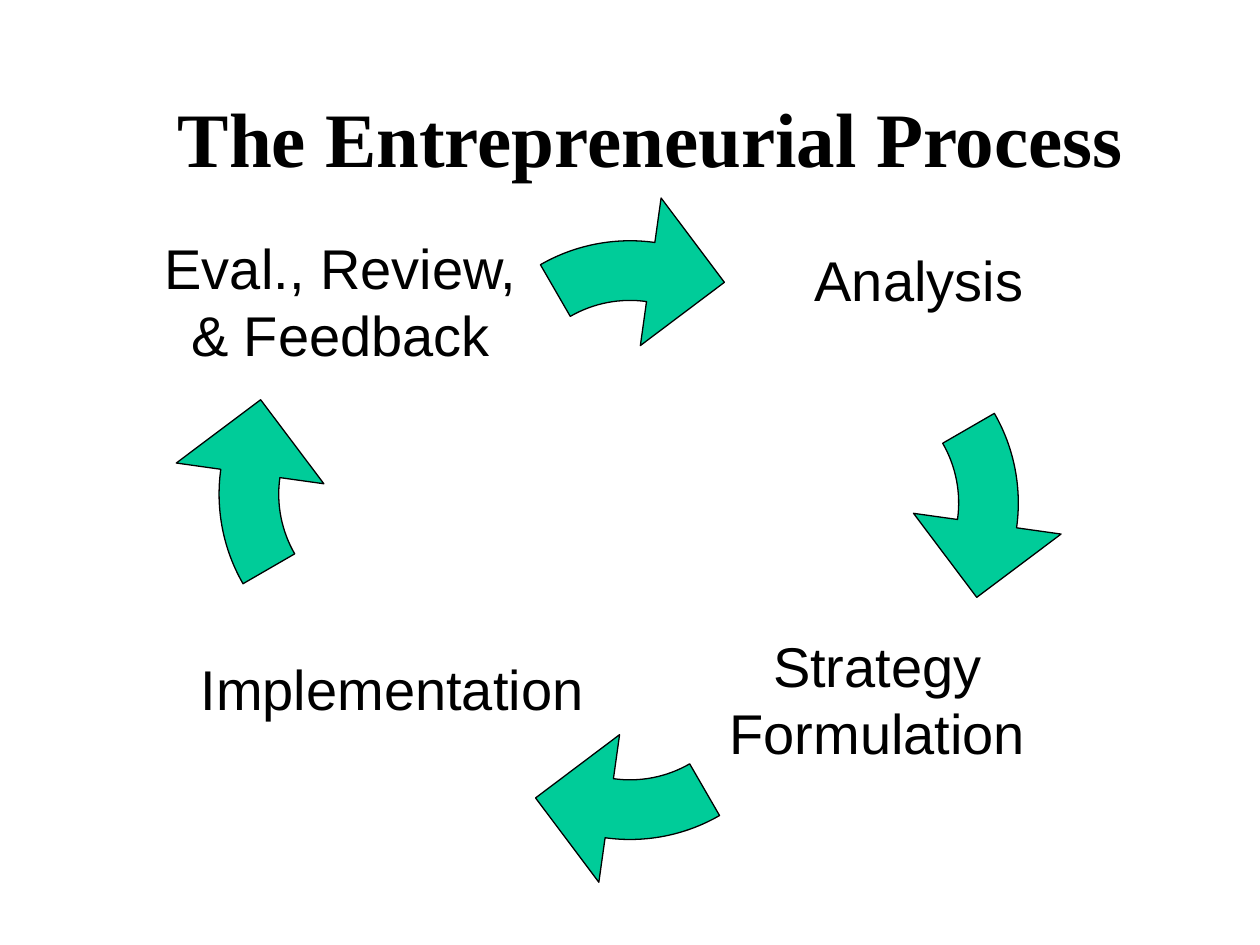
from dataclasses import dataclass
from math import cos, radians, sin, tan

from lxml import etree
from pptx import Presentation
from pptx.dml.color import RGBColor
from pptx.enum import shapes, text
from pptx.oxml import ns
from pptx.util import Pt

BLACK = RGBColor(0, 0, 0)
GREEN = RGBColor(0x00, 0xCC, 0x99)

# Arrow shape: radii in points, angles in degrees clockwise from the top
INNER, OUTER = 68.2, 102.3
BARB_IN, BARB_OUT = 42.8, 128
TIP = 95.3
TAIL_DEG, NECK_DEG, TIP_DEG = -30, 8, 34.5
SIDE = 76.8

Point = tuple[int, int]


@dataclass
class Arrow:
    x: float
    y: float
    turn: int


@dataclass
class Label:
    words: str
    x: float
    y: float


ARROWS = [
    Arrow(360, 239.9, 0),
    Arrow(479.6, 287.4, 90),
    Arrow(360, 377.4, 180),
    Arrow(227.5, 282.4, 270),
]
LABELS = [
    Label("Analysis", 525.2, 159.3),
    Label("Strategy\nFormulation", 501.4, 399.4),
    Label("Eval., Review,\n& Feedback", 194.7, 171.7),
    Label("Implementation", 224.2, 393.3),
]


def spot(radius: float, deg: float) -> Point:
    """Place a point inside the square that holds the outer circle."""
    angle = radians(deg)
    return (Pt(OUTER + radius * sin(angle)), Pt(OUTER - radius * cos(angle)))


def bend(radius: float, start: float, end: float) -> list[Point]:
    """Give the two control points and the end of a circular curve."""
    span = radians(end - start)
    reach = 4 / 3 * tan(span / 4)
    far = radius * (1 + reach ** 2) ** 0.5
    lean = 180 / radians(180) * reach
    # The exact offset angle is atan(reach); for this short span use its series
    lean *= 1 - reach ** 2 / 3
    return [spot(far, start + lean), spot(far, end - lean), spot(radius, end)]


def add_arrow(slide, arrow: Arrow) -> None:
    """Draw a curved arrow around the centre (x, y), turned clockwise."""
    steps = [
        ("moveTo", [spot(INNER, NECK_DEG)]),
        ("cubicBezTo", bend(INNER, NECK_DEG, TAIL_DEG)),
        ("lnTo", [spot(OUTER, TAIL_DEG)]),
        ("cubicBezTo", bend(OUTER, TAIL_DEG, NECK_DEG)),
        ("lnTo", [spot(BARB_OUT, NECK_DEG)]),
        ("lnTo", [spot(TIP, TIP_DEG)]),
        ("lnTo", [spot(BARB_IN, NECK_DEG)]),
        ("close", []),
    ]
    size = Pt(2 * OUTER)
    draft = slide.shapes.build_freeform()
    draft.add_line_segments([(size, 0), (size, size)])
    shape = draft.convert_to_shape(Pt(arrow.x - OUTER), Pt(arrow.y - OUTER))
    curve = shape.element.find(".//" + ns.qn("a:path"))
    for child in list(curve):
        curve.remove(child)
    for name, points in steps:
        step = etree.SubElement(curve, ns.qn("a:" + name))
        for x, y in points:
            etree.SubElement(step, ns.qn("a:pt"), x=str(int(x)), y=str(int(y)))
    shape.rotation = arrow.turn
    shape.shadow.inherit = False
    shape.fill.solid()
    shape.fill.fore_color.rgb = GREEN
    shape.line.color.rgb = BLACK
    shape.line.width = Pt(0.75)


def set_text(frame, words: str, face: str, size: float, bold: bool) -> None:
    frame.text = words
    for par in frame.paragraphs:
        par.alignment = text.PP_ALIGN.CENTER
        par.font.name = face
        par.font.size = Pt(size)
        par.font.bold = bold
        par.font.color.rgb = BLACK


def add_label(slide, label: Label) -> None:
    """Centre unwrapped words on the point (x, y)."""
    box = slide.shapes.add_shape(
        shapes.MSO_SHAPE.RECTANGLE, Pt(label.x - SIDE / 2),
        Pt(label.y - SIDE / 2), Pt(SIDE), Pt(SIDE))
    box.shadow.inherit = False
    box.fill.background()
    box.line.fill.background()
    frame = box.text_frame
    frame.word_wrap = False
    frame.vertical_anchor = text.MSO_ANCHOR.MIDDLE
    frame.margin_left = frame.margin_right = 0
    frame.margin_top = frame.margin_bottom = 0
    set_text(frame, label.words, "Arial", 32, False)


def add_title(slide, words: str) -> None:
    box = slide.shapes.add_textbox(Pt(48), Pt(18), Pt(648), Pt(90))
    frame = box.text_frame
    frame.word_wrap = True
    frame.vertical_anchor = text.MSO_ANCHOR.BOTTOM
    set_text(frame, words, "Times New Roman", 44, True)


def main() -> None:
    deck = Presentation()
    deck.slide_width, deck.slide_height = Pt(720), Pt(540)
    slide = deck.slides.add_slide(deck.slide_layouts[6])
    for arrow in ARROWS:
        add_arrow(slide, arrow)
    for label in LABELS:
        add_label(slide, label)
    add_title(slide, "The Entrepreneurial Process")
    deck.save("out.pptx")


if __name__ == "__main__":
    main()
